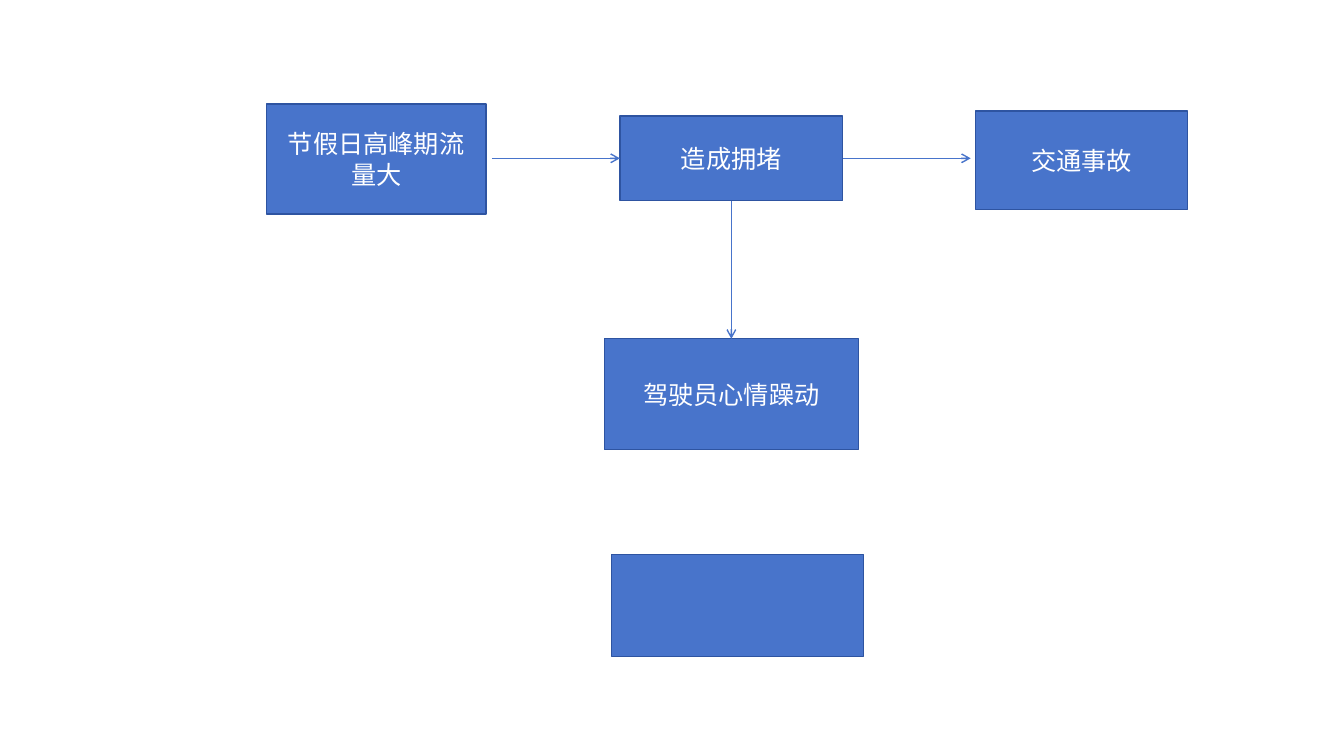
"""Build a flow chart of how holiday traffic leads to jams and accidents."""
from lxml import etree
from pptx import Presentation
from pptx.dml.color import RGBColor
from pptx.enum import shapes, text
from pptx.oxml import ns
from pptx.util import Pt


def color(value):
    return RGBColor.from_string(value)


class FlowChart:
    FILL, BORDER, INK = "4874CB", "2E54A1", "FFFFFF"
    FONT, SIZE, LINE = "Arial", 18, 1
    TOP, LEFT, BOTTOM, RIGHT = range(4)

    def __init__(self, slide):
        self.slide = slide

    def box(self, left, top, width, height, label=""):
        box = self.slide.shapes.add_shape(
            shapes.MSO_SHAPE.RECTANGLE, Pt(left), Pt(top), Pt(width), Pt(height))
        box.shadow.inherit = False
        box.fill.solid()
        box.fill.fore_color.rgb = color(self.FILL)
        box.line.color.rgb = color(self.BORDER)
        box.line.width = Pt(self.LINE)
        if label:
            frame = box.text_frame
            frame.word_wrap = True
            frame.vertical_anchor = text.MSO_ANCHOR.MIDDLE
            paragraph = frame.paragraphs[0]
            paragraph.alignment = text.PP_ALIGN.CENTER
            run = paragraph.add_run()
            run.text = label
            run.font.name = self.FONT
            run.font.size = Pt(self.SIZE)
            run.font.color.rgb = color(self.INK)
        return box

    def arrow(self, start, end, source=None, target=None):
        arrow = self.slide.shapes.add_connector(
            shapes.MSO_CONNECTOR.STRAIGHT, *map(Pt, start + end))
        arrow.line.color.rgb = color(self.FILL)
        arrow.line.width = Pt(self.LINE)
        line = arrow.line._get_or_add_ln()
        etree.SubElement(line, ns.qn("a:tailEnd"), type="arrow")
        etree.SubElement(arrow._element.spPr, ns.qn("a:effectLst"))
        if source:
            arrow.begin_connect(*source)
        if target:
            arrow.end_connect(*target)


def main():
    deck = Presentation()
    deck.slide_width, deck.slide_height = Pt(960), Pt(540)
    chart = FlowChart(deck.slides.add_slide(deck.slide_layouts[6]))

    chart.box(190.2, 74.2, 157, 78.6, "节假日高峰期流量大")
    jam = chart.box(442.8, 82.8, 159.2, 60.6, "造成拥堵")
    chart.box(697, 79.2, 151.2, 70.6, "交通事故")
    mood = chart.box(431.6, 242, 181.6, 79.2, "驾驶员心情躁动")
    chart.box(437, 396, 180, 72.8)

    axis_x, axis_y = 522.4, 113.1
    chart.arrow((351.4, axis_y), (442.8, axis_y), target=(jam, chart.LEFT))
    chart.arrow((602, axis_y), (693.4, axis_y), source=(jam, chart.RIGHT))
    chart.arrow((axis_x, 143.4), (axis_x, 242),
                source=(jam, chart.BOTTOM), target=(mood, chart.TOP))
    deck.save("out.pptx")


if __name__ == "__main__":
    main()
